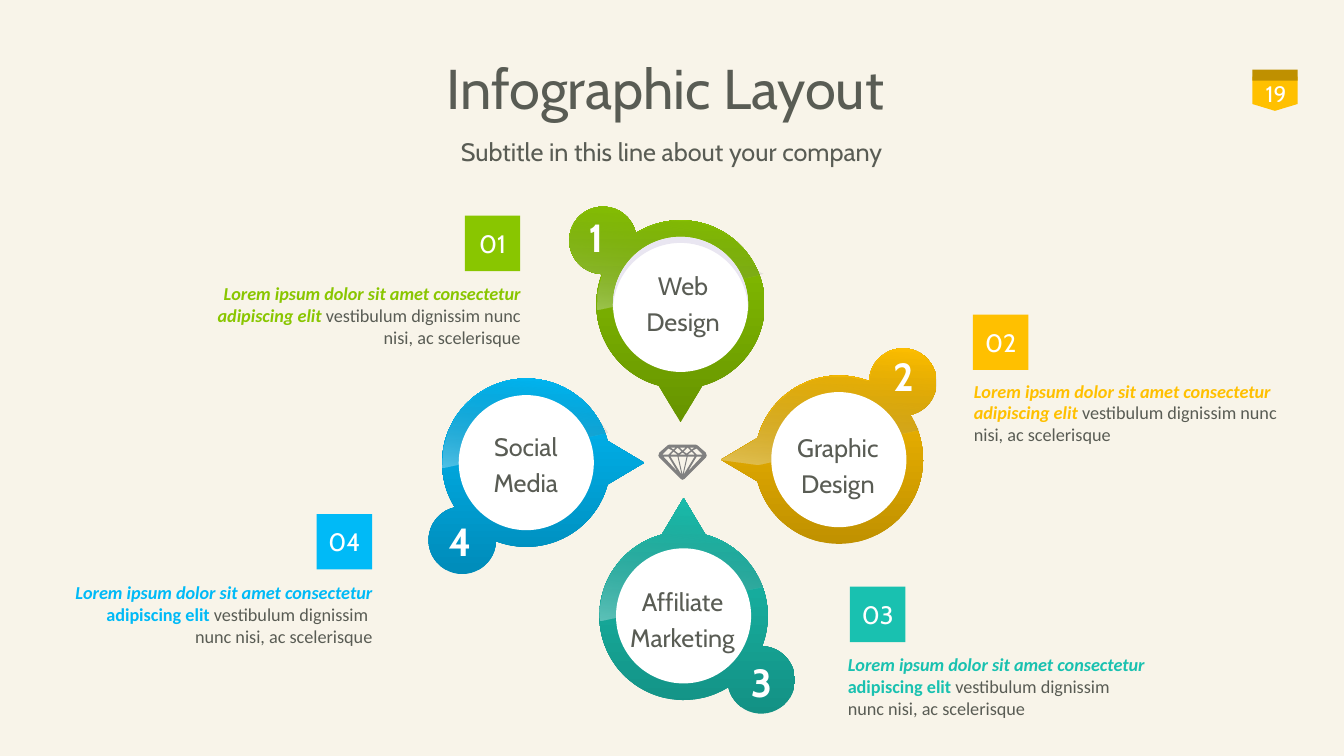
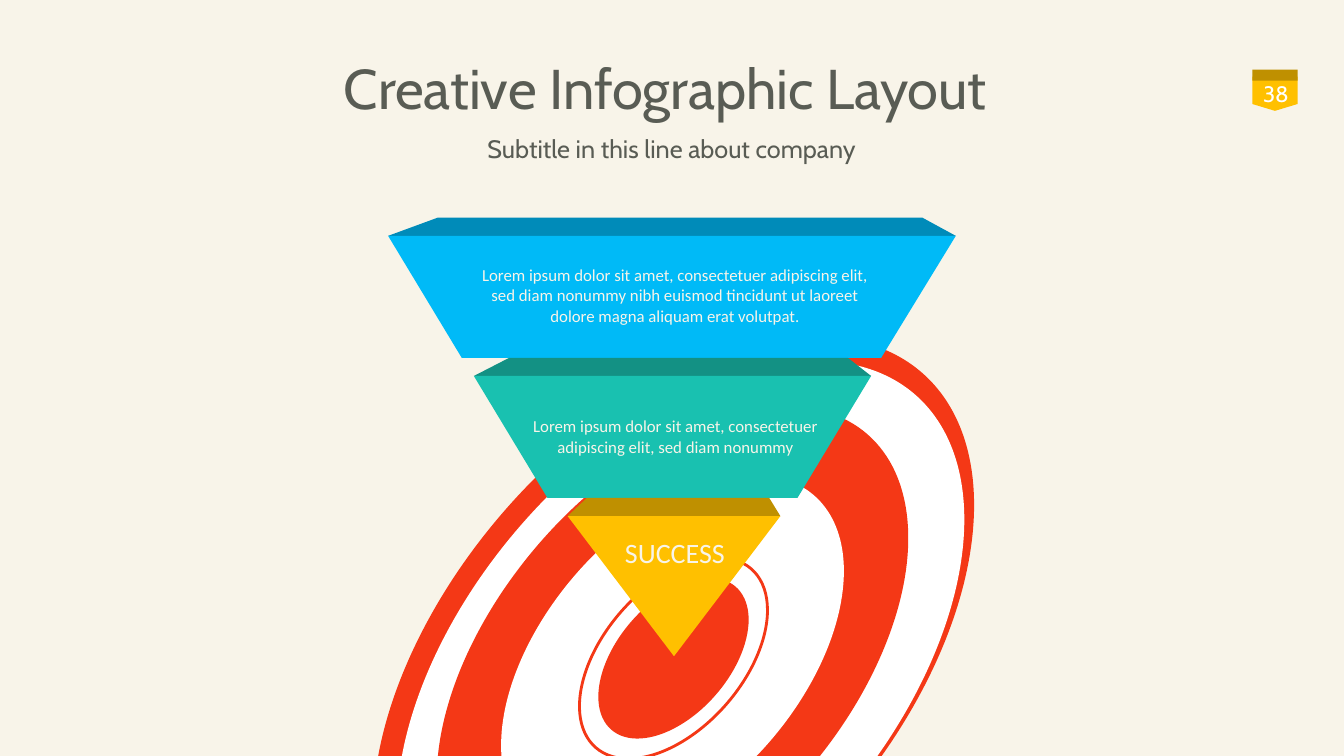
from dataclasses import dataclass
from math import ceil, cos, radians, sin, tan

from lxml.etree import SubElement
from pptx import Presentation
from pptx.dml.color import RGBColor
from pptx.enum.shapes import MSO_SHAPE
from pptx.enum.text import MSO_ANCHOR, PP_ALIGN
from pptx.oxml.ns import qn
from pptx.util import Inches, Pt


@dataclass(frozen=True)
class Theme:
    paper: str = "F8F4E9"
    ink: str = "595C54"
    white: str = "FFFFFF"
    lilac: str = "E9E6F1"
    grey: str = "808080"
    red: str = "F43816"
    # Each accent is a pair: bright, dark
    green: tuple = ("89C600", "679400")
    gold: tuple = ("FFC000", "BF9000")
    teal: tuple = ("19C1B0", "139184")
    blue: tuple = ("00BAF7", "008BB9")
    display: str = "Cabin"
    text: str = "Calibri"

    def style(self, size, color, name=None, **extra):
        return {"name": name or self.display, "size": Pt(size), "color": color, **extra}


THEME = Theme()
TITLE = THEME.style(40, THEME.ink)
SUBTITLE = THEME.style(18, THEME.ink)
PAGE_NUMBER = THEME.style(16, THEME.white)
PIN_NUMBER = THEME.style(28, THEME.white, bold=True)
TAG = THEME.style(18, THEME.white)
NOTE = THEME.style(13, THEME.ink, THEME.text)
STEP = THEME.style(12, THEME.paper, THEME.text)
GOAL = THEME.style(20, THEME.paper, THEME.text)

LEFT, CENTER, RIGHT = PP_ALIGN.LEFT, PP_ALIGN.CENTER, PP_ALIGN.RIGHT

# Pin geometry in inches, around the centre of its disc
DISC, HOLE, BADGE = 0.835, 0.67, 0.335
BADGE_CENTER = (0.77, 0.635)
TIP = (0, -1.17)
PIN_ARCS = [((0, 0), DISC, -75, 21), (BADGE_CENTER, BADGE, -88, 167), ((0, 0), DISC, 58, 255)]

# number, number place, label, label box, disc centre, turn, accent
PINS = [
    ("1", (5.74, 2.07), ["Web", "Design"], (6.31, 2.57, 0.93, 0.83),
     (6.75, 3.02), 180, THEME.green),
    ("2", (8.76, 3.45), ["Graphic", "Design"], (7.75, 4.18, 1.12, 0.8),
     (8.32, 4.56), 270, THEME.gold),
    ("3", (7.35, 6.48), ["Affiliate", "Marketing"], (6.14, 5.71, 1.26, 0.83),
     (6.78, 6.11), 0, THEME.teal),
    ("4", (4.35, 5.08), ["Social", "Media"], (4.74, 4.17, 0.95, 0.83),
     (5.22, 4.59), 90, THEME.blue),
]

LEAD = "Lorem ipsum dolor sit amet consectetur "
ELIT = "adipiscing elit "
ONE_PART = [[(LEAD + ELIT, "bi"), ("vestibulum dignissim nunc nisi, ac scelerisque", "")]]
TWO_PART = [[(LEAD, "bi"), (ELIT, "b"), ("vestibulum dignissim ", "")],
            [("nunc nisi, ac scelerisque", "")]]
# tag, tag place, note box, alignment, accent, paragraphs of (text, emphasis)
NOTES = [
    ("01", (4.61, 2.14), (1.98, 2.75, 3.28, 0.76), RIGHT, THEME.green, ONE_PART),
    ("02", (9.65, 3.12), (9.56, 3.72, 3.22, 0.76), LEFT, THEME.gold, ONE_PART),
    ("03", (8.43, 5.82), (8.31, 6.43, 3.81, 0.76), LEFT, THEME.teal, TWO_PART),
    ("04", (3.14, 5.1), (-0.02, 5.72, 3.81, 0.76), RIGHT, THEME.blue, TWO_PART),
]

# Diamond in hundredths of an inch, around the middle of its top edge
GEM_RIM = [(-23, 8), (-15, 1), (-13, 0), (13, 0), (15, 1), (23, 8), (24, 11),
           (23, 13), (2, 34), (0, 35), (-2, 34), (-23, 13), (-24, 11)]
GEM_MIDDLE = [
    [(0, 6), (-3, 3), (3, 3)],
    [(4, 12), (0, 30), (-4, 12)],
    [(3, 10), (-3, 10), (0, 8)],
]
GEM_SIDE = [
    [(-14, 4), (-10, 6), (-14, 10), (-20, 10)],
    [(-5, 27), (-19, 12), (-14, 12)],
    [(-5, 12), (-1, 30), (-12, 12)],
    [(-9, 7), (-5, 10), (-12, 10)],
    [(-9, 5), (-12, 3), (-7, 3)],
    [(-4, 9), (-8, 6), (-5, 3), (-1, 7)],
]

# width, height, centre, fill, line
TARGET_TILT = -49
RINGS = [
    (7.51, 4.45, (6.68, 6.53), THEME.red, None),
    (7.09, 4.2, (6.75, 6.59), THEME.white, None),
    (5.89, 3.49, (6.67, 6.53), THEME.red, None),
    (4.28, 2.54, (6.67, 6.53), THEME.white, None),
    (2.35, 1.39, (6.68, 6.53), THEME.white, THEME.red),
    (1.88, 1.11, (6.68, 6.53), THEME.red, None),
]

# accent, then left and right ends of the back, front and bottom edges
FUNNEL = [
    (THEME.blue, (4.34, 9.15), (3.85, 9.48), (4.58, 8.74)),
    (THEME.teal, (5.05, 8.41), (4.7, 8.64), (5.43, 7.91)),
    (THEME.gold, (5.82, 7.63), (5.63, 7.74), None),
]
FUNNEL_TOP, FUNNEL_PITCH, LID = 2.16, 1.39, 0.18


def rgb(value):
    return RGBColor.from_string(value)


def write(frame, paragraphs, align=CENTER, spacing=None, **frame_format):
    """Fill a text frame; each paragraph is a list of (text, style) runs."""
    for name, value in {"word_wrap": True, **frame_format}.items():
        setattr(frame, name, value)
    for index, runs in enumerate(paragraphs):
        paragraph = frame.add_paragraph() if index else frame.paragraphs[0]
        paragraph.alignment = align
        paragraph.line_spacing = spacing
        for words, style in runs:
            run = paragraph.add_run()
            run.text = words
            for name, value in style.items():
                if name == "color":
                    run.font.color.rgb = rgb(value)
                else:
                    setattr(run.font, name, value)


def add_text(slide, box, paragraphs, **options):
    write(slide.shapes.add_textbox(*map(Inches, box)).text_frame, paragraphs, **options)


def paint(shape, color, outline=None):
    shape.shadow.inherit = False
    shape.fill.solid()
    shape.fill.fore_color.rgb = rgb(color)
    if outline:
        shape.line.color.rgb = rgb(outline)
        shape.line.width = Pt(2)
    else:
        shape.line.fill.background()
    return shape


def paint_gradient(shape, stops, angle):
    """Paint two (colour, opacity percent) stops."""
    shape.shadow.inherit = False
    shape.line.fill.background()
    shape.fill.gradient()
    shape.fill.gradient_angle = angle
    for position, (stop, (color, _)) in enumerate(zip(shape.fill.gradient_stops, stops)):
        stop.position = position
        stop.color.rgb = rgb(color)
    tints = shape._element.spPr.find(qn("a:gradFill")).iter(qn("a:srgbClr"))
    for tint, (_, opacity) in zip(list(tints), stops):
        if opacity < 100:
            SubElement(tint, qn("a:alpha"), val=str(opacity * 1000))


def add_preset(slide, kind, box, color, outline=None):
    return paint(slide.shapes.add_shape(kind, *map(Inches, box)), color, outline)


def add_outline(slide, *contours):
    """Add one freeform; contours after the first cut holes."""
    contours = [[(Inches(x), Inches(y)) for x, y in contour] for contour in contours]
    builder = slide.shapes.build_freeform(*contours[0][0])
    builder.add_line_segments(contours[0][1:])
    for contour in contours[1:]:
        builder.move_to(*contour[0])
        builder.add_line_segments(contour[1:])
    return builder.convert_to_shape()


def add_curve(slide, points):
    """Add a freeform whose points after the first are Bezier triples."""
    shape = add_outline(slide, points)
    track = next(shape._element.iter(qn("a:path")))
    lines = track.findall(qn("a:lnTo"))
    for first, second, third in zip(lines[::3], lines[1::3], lines[2::3]):
        curve = SubElement(track, qn("a:cubicBezTo"))
        first.addprevious(curve)
        for line in (first, second, third):
            curve.append(line[0])
            track.remove(line)
    return shape


def on_circle(center, radius, angle):
    return center[0] + radius * cos(radians(angle)), center[1] + radius * sin(radians(angle))


def arc(center, radius, start, end):
    """Return a start point and Bezier triples of at most 66 degrees."""
    count = ceil(abs(end - start) / 66)
    step = (end - start) / count
    reach = 4 / 3 * tan(radians(step / 4))
    points = [on_circle(center, radius, start)]
    for i in range(count):
        (ax, ay), a = points[-1], radians(start + i * step)
        (bx, by), b = on_circle(center, radius, start + (i + 1) * step), radians(start + (i + 1) * step)
        pull = reach * radius
        points += [(ax - pull * sin(a), ay + pull * cos(a)),
                   (bx + pull * sin(b), by - pull * cos(b)), (bx, by)]
    return points


def join(first, *pieces):
    """Link curves with straight Bezier triples."""
    points = list(first)
    for piece in pieces:
        points += [points[-1], piece[0], *piece]
    return points


def turn(points, degrees):
    c, s = cos(radians(degrees)), sin(radians(degrees))
    return [(x * c - y * s, x * s + y * c) for x, y in points]


def shift(points, origin):
    return [(x + origin[0], y + origin[1]) for x, y in points]


def sheen(degrees):
    """Outline the part of a turned pin that lies above the sheen's lower edge."""
    rim = [TIP]
    for center, radius, start, end in PIN_ARCS:
        count = ceil((end - start) / 15)
        rim += [on_circle(center, radius, start + (end - start) * i / count)
                for i in range(count + 1)]
    rim = turn(rim, degrees)
    edge = [0.05 - 0.13 * max(0, x + DISC) ** 2 for x, _ in rim]
    above = [y <= limit for (_, y), limit in zip(rim, edge)]
    return [(x, min(y, edge[i])) for i, (x, y) in enumerate(rim)
            if above[i] or above[i - 1] or above[(i + 1) % len(rim)]]


def add_pin(slide, number, place, label, label_box, center, degrees, accent):
    outline = turn(join([TIP], *(arc(*part) for part in PIN_ARCS)), degrees)
    bright, dark = accent
    paint_gradient(add_curve(slide, shift(outline, center)), [(dark, 100), (bright, 100)], 90)
    paint_gradient(add_outline(slide, shift(sheen(degrees), center)),
                   [("000000", 0), ("F2FCFF", 33)], 260)
    hole = (center[0] - HOLE, center[1] - HOLE, 2 * HOLE, 2 * HOLE)
    add_preset(slide, MSO_SHAPE.OVAL, hole, THEME.white)
    if number == "1":
        crescent = join(arc((0, 0), HOLE, 180, 360), arc((0, 0.06), HOLE, 360, 180))
        paint(add_curve(slide, shift(crescent, center)), THEME.lilac)
    add_text(slide, (*place, 0.41, 0.57), [[(number, PIN_NUMBER)]], align=LEFT, word_wrap=False)
    add_text(slide, label_box, [[(line, SUBTITLE)] for line in label],
             spacing=1.2, word_wrap=False)


def add_gem(slide, top_middle):
    mirrored = [[(-x, y) for x, y in facet] for facet in GEM_SIDE]
    contours = [GEM_RIM, *GEM_MIDDLE, *GEM_SIDE, *mirrored]
    placed = [shift([(x / 100, y / 100) for x, y in c], top_middle) for c in contours]
    paint(add_outline(slide, *placed), THEME.grey)


def add_note(slide, tag, place, box, align, accent, paragraphs):
    square = add_preset(slide, MSO_SHAPE.RECTANGLE, (*place, 0.55, 0.55), accent[0])
    write(square.text_frame, [[(tag, TAG)]], vertical_anchor=MSO_ANCHOR.MIDDLE)
    styled = [[(words, {**NOTE, "color": accent[0] if emphasis else THEME.ink,
                        "bold": "b" in emphasis, "italic": "i" in emphasis})
               for words, emphasis in runs] for runs in paragraphs]
    add_text(slide, box, styled, align=align)


def add_funnel_step(slide, index, accent, back, front, bottom):
    top = FUNNEL_TOP + index * FUNNEL_PITCH
    rim, base = top + LID, top + FUNNEL_PITCH
    bright, dark = accent
    paint(add_outline(slide, [(back[0], top), (back[1], top), (front[1], rim), (front[0], rim)]), dark)
    if bottom:
        face = [(front[0], rim), (front[1], rim), (bottom[1], base), (bottom[0], base)]
        paint(add_outline(slide, face), bright)
    else:
        box = (front[0], rim, front[1] - front[0], FUNNEL_PITCH)
        add_preset(slide, MSO_SHAPE.FLOWCHART_MERGE, box, bright)


def add_page(deck, title, subtitle, subtitle_top, number):
    """Add a slide with the title, subtitle and page badge all slides share."""
    slide = deck.slides.add_slide(deck.slide_layouts[5])
    heading = slide.shapes.title
    for name, value in dict(left=0.85, top=0.45, width=11.5, height=0.91).items():
        setattr(heading, name, Inches(value))
    middle = MSO_ANCHOR.MIDDLE
    write(heading.text_frame, [[(title, TITLE)]], spacing=0.9, vertical_anchor=middle)
    bright, dark = THEME.gold
    add_preset(slide, MSO_SHAPE.FLOWCHART_OFFPAGE_CONNECTOR, (12.42, 0.76, 0.45, 0.34), bright)
    add_preset(slide, MSO_SHAPE.RECTANGLE, (12.42, 0.69, 0.45, 0.11), dark)
    add_text(slide, (12.21, 0.73, 0.89, 0.4), [[(number, PAGE_NUMBER)]], vertical_anchor=middle)
    add_text(slide, (3.77, subtitle_top, 5.78, 0.4), [[(subtitle, SUBTITLE)]])
    return slide


def build_pins(deck):
    slide = add_page(deck, "Infographic Layout", "Subtitle in this line about your company", 1.3, "19")
    for pin in PINS:
        add_pin(slide, *pin)
    add_gem(slide, (6.77, 4.41))
    for note in NOTES:
        add_note(slide, *note)


def build_funnel(deck):
    slide = add_page(deck, "Creative Infographic Layout", "Subtitle in this line about company", 1.27, "38")
    for width, height, (x, y), color, line in RINGS:
        box = (x - width / 2, y - height / 2, width, height)
        add_preset(slide, MSO_SHAPE.OVAL, box, color, line).rotation = TARGET_TILT
    for index, step in enumerate(FUNNEL):
        add_funnel_step(slide, index, *step)
    lorem = "Lorem ipsum dolor sit amet, consectetuer adipiscing elit, sed diam nonummy"
    rest = " nibh euismod tincidunt ut laoreet dolore magna aliquam erat volutpat."
    add_text(slide, (4.67, 2.58, 4.05, 0.71), [[(lorem + rest, STEP)]])
    add_text(slide, (5.15, 4.08, 3.1, 0.5), [[(lorem, STEP)]])
    add_text(slide, (6.1, 5.26, 1.2, 0.44), [[("SUCCESS", GOAL)]], align=LEFT, word_wrap=False)


def main():
    deck = Presentation()
    deck.slide_width, deck.slide_height = Inches(13.33), Inches(7.5)
    backdrop = deck.slide_master.background.fill
    backdrop.solid()
    backdrop.fore_color.rgb = rgb(THEME.paper)
    build_pins(deck)
    build_funnel(deck)
    deck.save("out.pptx")


if __name__ == "__main__":
    main()
